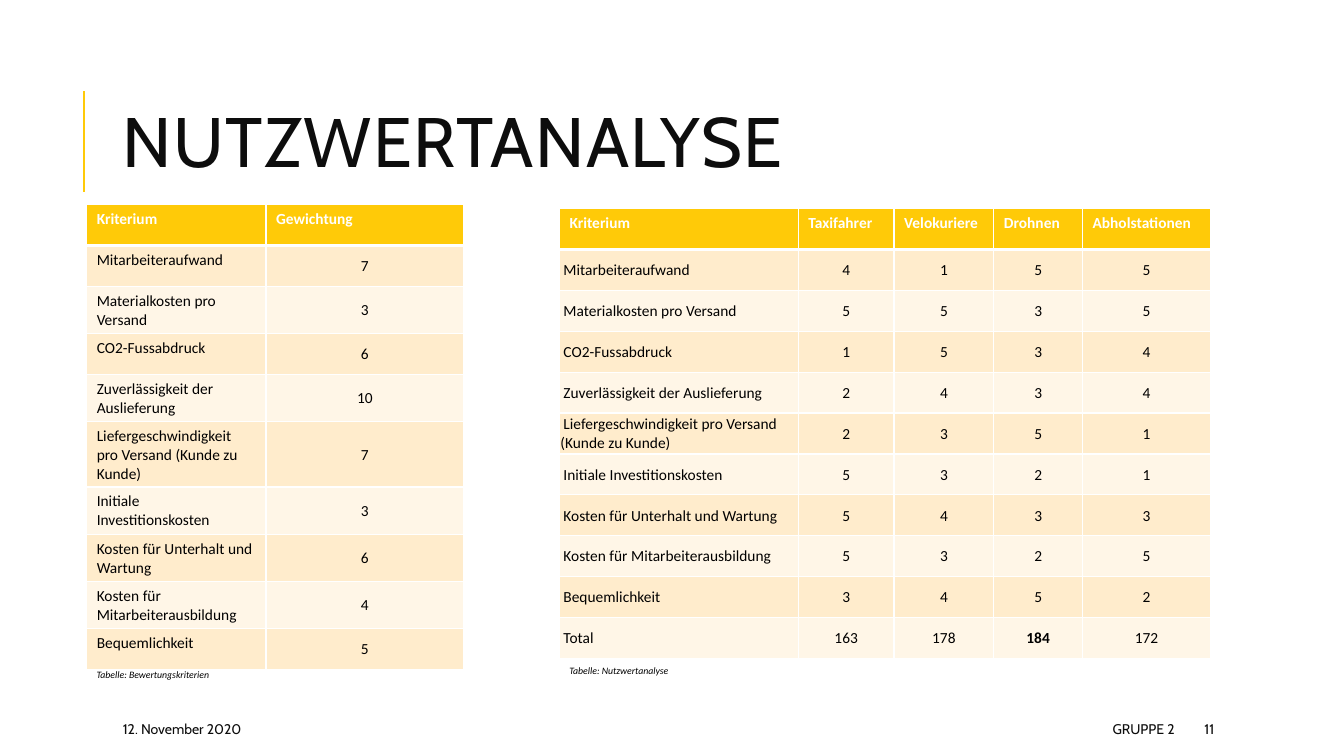
from lxml.etree import SubElement
from pptx import Presentation
from pptx.dml.color import RGBColor
from pptx.enum.shapes import MSO_CONNECTOR
from pptx.enum.text import MSO_ANCHOR, PP_ALIGN
from pptx.oxml.ns import qn
from pptx.util import Inches, Pt

# Grid: 160 columns by 90 rows of square units
COLUMNS, ROWS = 160, 90
UNIT = Inches(1) / 12
ROW_HEIGHT = 4.87
NBSP = chr(160)  # keeps the room after a label that decides where it wraps

COLORS = {
    "accent": "FFCA08",
    "band_dark": "FFECCC",
    "band_light": "FFF6E7",
    "white": "FFFFFF",
    "black": "000000",
    "heading": "0D0D0D",
}

SERVICES = ["Taxifahrer", "Velokuriere", "Drohnen", "Abholstationen"]

# Criterion, weight, score of each service
CRITERIA = [
    ("Mitarbeiteraufwand", 7, (4, 1, 5, 5)),
    ("Materialkosten pro Versand", 3, (5, 5, 3, 5)),
    ("CO2-Fussabdruck", 6, (1, 5, 3, 4)),
    ("Zuverlässigkeit der Auslieferung", 10, (2, 4, 3, 4)),
    ("Liefergeschwindigkeit pro Versand (Kunde zu Kunde)", 7, (2, 3, 5, 1)),
    ("Initiale Investitionskosten", 3, (5, 3, 2, 1)),
    ("Kosten für Unterhalt und Wartung", 6, (5, 4, 3, 3)),
    ("Kosten für Mitarbeiterausbildung", 4, (5, 3, 2, 5)),
    ("Bequemlichkeit", 5, (3, 4, 5, 2)),
]


def grid(*lengths):
    return [round(length * UNIT) for length in lengths]


def rgb(name):
    return RGBColor.from_string(COLORS[name])


def style(paragraph, size, face, color, bold=False, italic=False):
    font = paragraph.font
    font.size, font.name = Pt(size), face
    font.bold, font.italic = bold, italic
    font.color.rgb = rgb(color)


def add_text(slide, box, text, size, face, color, anchor=MSO_ANCHOR.MIDDLE,
             align=PP_ALIGN.LEFT, italic=False):
    frame = slide.shapes.add_textbox(*grid(*box)).text_frame
    frame.word_wrap = True
    frame.vertical_anchor = anchor
    paragraph = frame.paragraphs[0]
    paragraph.text = text
    paragraph.alignment = align
    style(paragraph, size, face, color, italic=italic)
    return paragraph


def add_borders(cell, row):
    """White rules; the one under the header is heavier."""
    widths = {"L": 1, "R": 1, "T": 3 if row == 1 else 1, "B": 3 if row == 0 else 1}
    properties = cell._tc.get_or_add_tcPr()
    for side, width in widths.items():
        line = SubElement(properties, qn(f"a:ln{side}"), w=str(Pt(width)))
        fill = SubElement(line, qn("a:solidFill"))
        SubElement(fill, qn("a:srgbClr"), val=COLORS["white"])


def fill_cell(cell, row, text, padded, centred, bold):
    add_borders(cell, row)
    cell.fill.solid()
    band = "accent" if row == 0 else "band_dark" if row % 2 else "band_light"
    cell.fill.fore_color.rgb = rgb(band)

    paragraph = cell.text_frame.paragraphs[0]
    paragraph.text = text + NBSP if padded else text
    style(paragraph, 11, "Calibri", "black" if row else "white", bold)
    if centred:
        paragraph.alignment = PP_ALIGN.CENTER
    if not padded:
        cell.vertical_anchor = MSO_ANCHOR.MIDDLE
        cell.margin_left = cell.margin_right = cell.margin_top = Inches(0.01)
        cell.margin_bottom = 0
        if not centred:
            paragraph._p.get_or_add_pPr().set("indent", str(Inches(0.03)))


def add_criteria_table(slide, left, top, widths, records, padded_labels, best=None):
    """Header and one record per row; best is the (row, column) in bold."""
    box = grid(left, top, sum(widths), ROW_HEIGHT * len(records))
    table = slide.shapes.add_table(len(records), len(widths), *box).table
    for column, width in zip(table.columns, grid(*widths)):
        column.width = width
    for r, record in enumerate(records):
        table.rows[r].height = grid(ROW_HEIGHT)[0]
        for c, value in enumerate(record):
            padded = r == 0 or (padded_labels and c == 0)
            centred = r > 0 and c > 0
            bold = r == 0 or (r, c) == best
            fill_cell(table.cell(r, c), r, str(value), padded, centred, bold)


def add_caption(slide, left, top, text):
    add_text(slide, (left, top, 20.88, 2.64), text, 7, "Calibri", "black",
             anchor=MSO_ANCHOR.TOP, italic=True)


def add_heading(slide, left, top, height):
    # Accent rule
    x, start, end = grid(left, top + height, top)
    rule = slide.shapes.add_connector(MSO_CONNECTOR.STRAIGHT, x, start, x, end)
    rule.line.color.rgb = rgb("accent")
    rule.line.width = Pt(1.5)
    SubElement(rule._element.spPr, qn("a:effectLst"))
    # Title, centred on the rule
    title = add_text(slide, (left + 3.44, top - 3.12, 127.56, 19.68),
                     "NUTZWERTANALYSE", 50, "Cabin", "heading")
    title.line_spacing = 0.8
    title.runs[0]._r.get_or_add_rPr().set("spc", "100")


def add_weights(slide, left, top):
    records = [("Kriterium", "Gewichtung")]
    records += [(name, weight) for name, weight, _ in CRITERIA]
    add_criteria_table(slide, left, top, [21.36, 23.52], records, padded_labels=True)
    add_caption(slide, left, top + 54.6, "Tabelle: Bewertungskriterien")


def add_scores(slide, left, top):
    totals = [sum(weight * scores[i] for _, weight, scores in CRITERIA)
              for i in range(len(SERVICES))]
    records = [("Kriterium", *SERVICES)]
    records += [(name, *scores) for name, _, scores in CRITERIA]
    records.append(("Total", *totals))
    best = (len(records) - 1, totals.index(max(totals)) + 1)
    add_criteria_table(slide, left, top, [28.44, 11.4, 11.88, 10.56, 15.24],
                       records, padded_labels=False, best=best)
    add_caption(slide, left, top + 53.64, "Tabelle: Nutzwertanalyse")


def add_footer(slide, top, height):
    for left, width, text, align in [
        (13.44, 28.32, "12. November 2020", PP_ALIGN.LEFT),
        (63.6, 77.4, "GRUPPE 2", PP_ALIGN.RIGHT),
        (142.2, 12.72, "11", PP_ALIGN.LEFT),
    ]:
        add_text(slide, (left, top, width, height), text, 10, "Cabin", "heading",
                 align=align)


def main():
    deck = Presentation()
    deck.slide_width, deck.slide_height = grid(COLUMNS, ROWS)
    slide = deck.slides.add_slide(deck.slide_layouts[6])
    add_heading(slide, left=10, top=10.8, height=12)
    add_weights(slide, left=10.32, top=24.36)
    add_scores(slide, left=66.6, top=24.84)
    add_footer(slide, top=84.96, height=3.6)
    deck.save("out.pptx")


if __name__ == "__main__":
    main()
